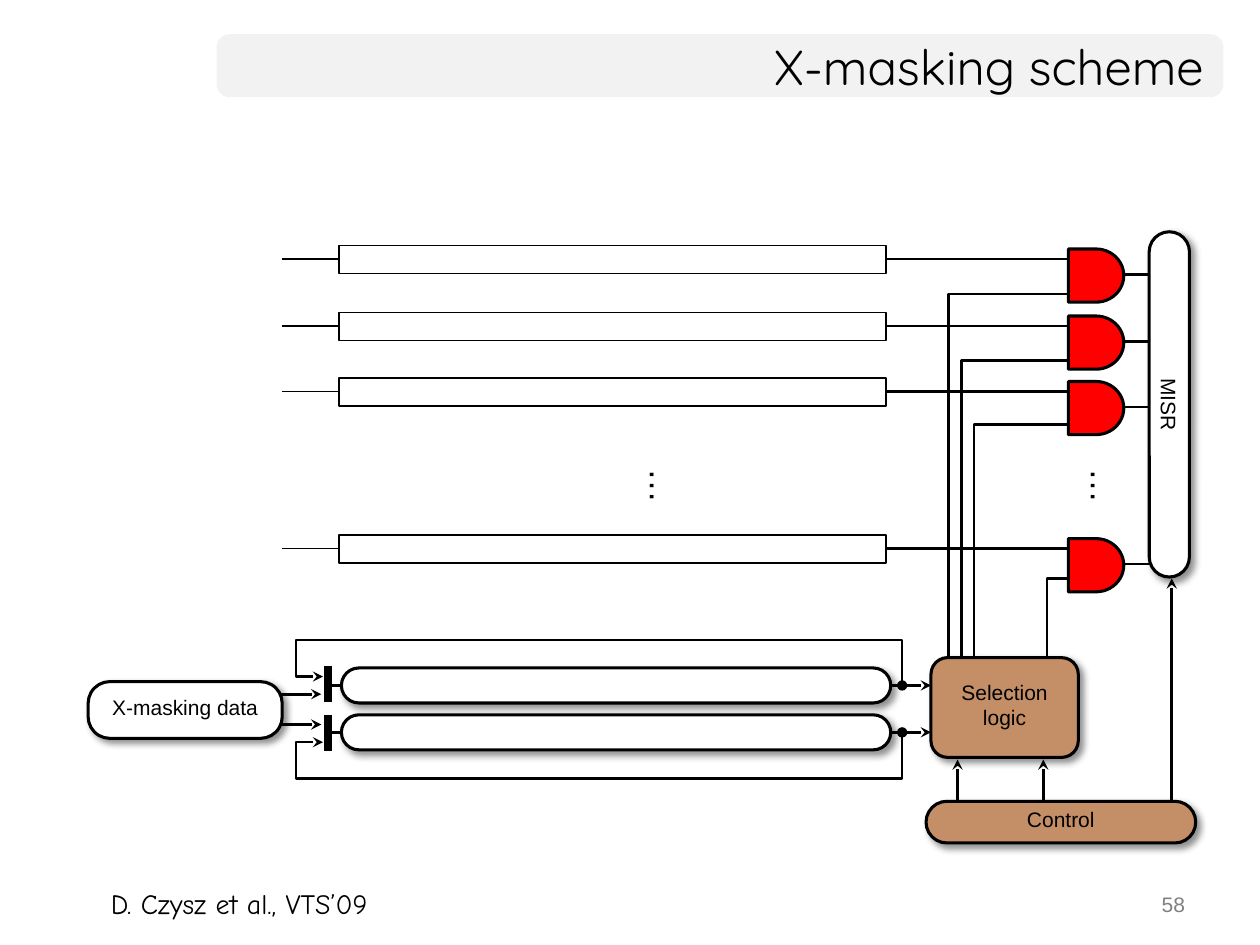
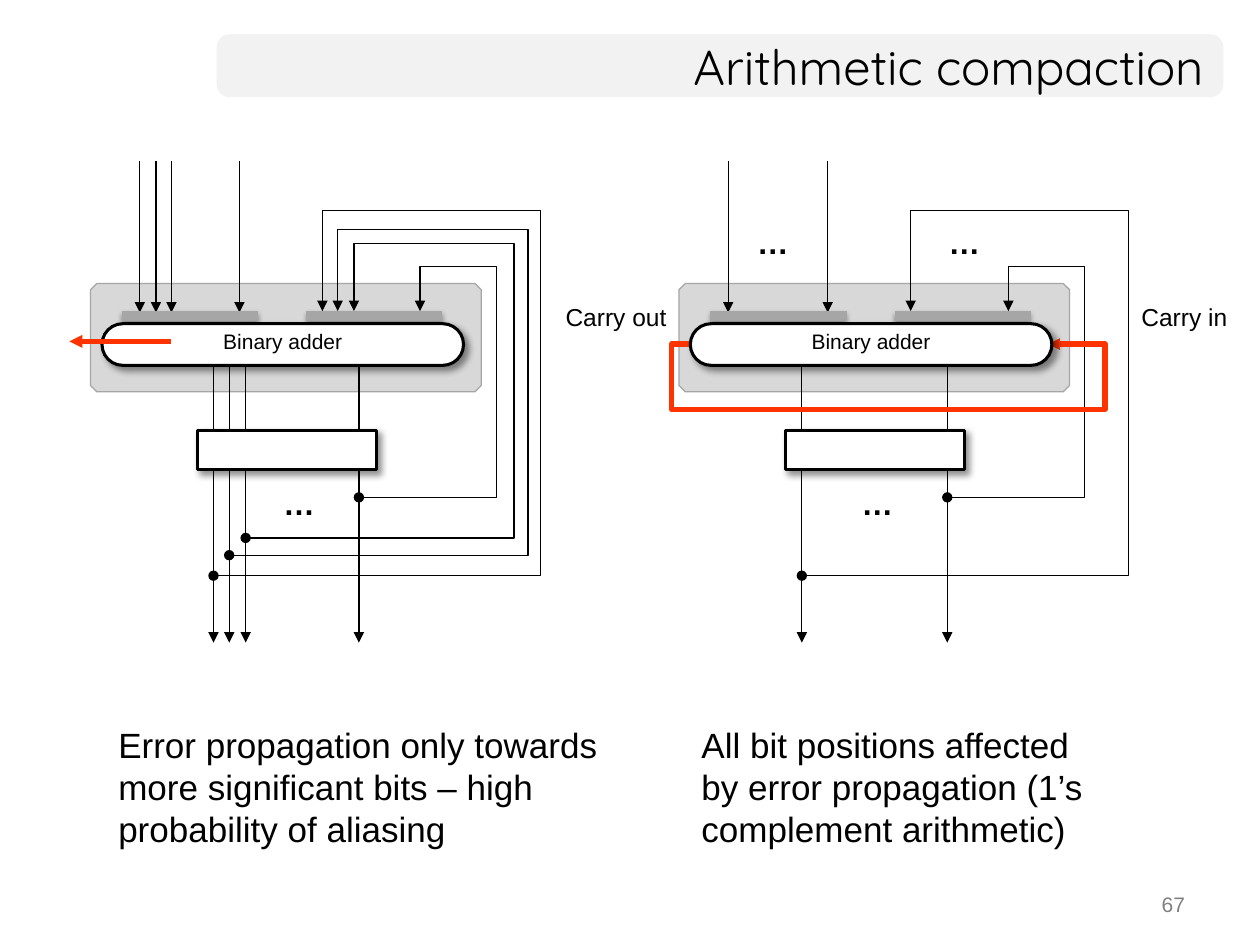
from dataclasses import dataclass

from lxml.etree import SubElement
from pptx import Presentation
from pptx.dml.color import RGBColor
from pptx.enum.shapes import MSO_CONNECTOR, MSO_SHAPE
from pptx.enum.text import MSO_ANCHOR, PP_ALIGN
from pptx.oxml.ns import qn
from pptx.util import Pt


@dataclass(frozen=True)
class Theme:
    ink: str = "000000"
    paper: str = "FFFFFF"
    band: str = "F2F2F2"
    page: str = "808080"
    tan: str = "C48E66"
    gate: str = "FF0000"
    carry: str = "FF3300"
    bar: str = "A6A6A6"
    tray: str = "D8D8D8"
    body: str = "Arial"
    head: str = "Quicksand"
    note: str = "Comic Neue"
    small: int = 12
    label: int = 14
    cite: int = 16
    dots: int = 18
    text: int = 20
    title: int = 28
    edge: float = 1.75
    wire: float = 1.5
    thin: float = 0.75
    # Shadows: opacity %, blur, distance, angle
    soft: tuple = (43, 4, 3, 45)
    under: tuple = (38, 3.1, 1.6, 90)


T = Theme()


# Formatting helpers
def rgb(code):
    return RGBColor.from_string(code)


def cast(fx, shade):
    alpha, blur, dist, angle = shade
    glow = SubElement(fx, qn("a:outerShdw"), blurRad=str(Pt(blur)), dist=str(Pt(dist)),
                      dir=str(angle * 60000), algn="tl", rotWithShape="0")
    tone = SubElement(glow, qn("a:srgbClr"), val=T.ink)
    SubElement(tone, qn("a:alpha"), val=str(alpha * 1000))


def stroke(line, color, width, head=None, tail=None):
    line.color.rgb = rgb(color)
    line.width = Pt(width)
    for tag, kind in (("a:headEnd", head), ("a:tailEnd", tail)):
        if kind:
            SubElement(line.fill._xPr, qn(tag), type=kind)


def write(frame, text, size=T.small, font=T.body, color=T.ink, bold=False,
          align=PP_ALIGN.LEFT, anchor=MSO_ANCHOR.TOP, wrap=True, foot=3.6):
    frame.word_wrap = wrap
    frame.vertical_anchor = anchor
    frame.margin_left = frame.margin_right = Pt(7.2)
    frame.margin_top, frame.margin_bottom = Pt(3.6), Pt(foot)
    frame.text = text
    for para in frame.paragraphs:
        para.alignment = align
        para.font.size = Pt(size)
        para.font.name = font
        para.font.bold = bold
        para.font.color.rgb = rgb(color)


# Element makers
def label(slide, text, x, y, w, h, turn=0, **style):
    box = slide.shapes.add_textbox(Pt(x), Pt(y), Pt(w), Pt(h))
    box.rotation = turn
    write(box.text_frame, text, **style)


def block(slide, x, y, w, h, kind=MSO_SHAPE.RECTANGLE, adj=None, fill=None,
          edge=T.ink, width=T.edge, shade=None, text=None, turn=0, foot=7.2):
    item = slide.shapes.add_shape(kind, Pt(x), Pt(y), Pt(w), Pt(h))
    item.rotation = turn
    if adj is not None:
        item.adjustments[0] = adj
    if fill:
        item.fill.solid()
        item.fill.fore_color.rgb = rgb(fill)
    else:
        item.fill.background()
    if edge:
        stroke(item.line, edge, width)
    else:
        item.line.fill.background()
    item.shadow.inherit = False
    if shade:
        cast(item.element.spPr.find(qn("a:effectLst")), shade)
    if text:
        write(item.text_frame, text, align=PP_ALIGN.CENTER,
              anchor=MSO_ANCHOR.MIDDLE, foot=foot)


def pill(slide, x, y, w, h, adj=0.5, fill=T.paper, **more):
    block(slide, x, y, w, h, kind=MSO_SHAPE.ROUNDED_RECTANGLE, adj=adj,
          fill=fill, shade=T.soft, **more)


def wire(slide, x1, y1, x2, y2, width=T.wire, color=T.ink, tail=None, shade=None):
    item = slide.shapes.add_connector(MSO_CONNECTOR.STRAIGHT,
                                      Pt(x1), Pt(y1), Pt(x2), Pt(y2))
    stroke(item.line, color, width, tail=tail)
    fx = SubElement(item.element.spPr, qn("a:effectLst"))
    if shade:
        cast(fx, shade)


def route(slide, *spots, width=T.wire, head=None, tail=None):
    spots = [(Pt(x), Pt(y)) for x, y in spots]
    pen = slide.shapes.build_freeform(*spots[0], scale=1.0)
    pen.add_line_segments(spots[1:], close=False)
    item = pen.convert_to_shape()
    item.fill.background()
    stroke(item.line, T.ink, width, head, tail)
    item.shadow.inherit = False


def start(deck, title, page):
    slide = deck.slides.add_slide(deck.slide_layouts[6])
    block(slide, 123.8, 19.6, 575.3, 36, kind=MSO_SHAPE.ROUNDED_RECTANGLE,
          adj=0.208, fill=T.band, edge=None)
    label(slide, title, 123.8, 19.6, 571, 36, size=T.title, font=T.head,
          align=PP_ALIGN.RIGHT, anchor=MSO_ANCHOR.MIDDLE)
    label(slide, page, 516.2, 504, 168, 25.2, color=T.page,
          align=PP_ALIGN.RIGHT, anchor=MSO_ANCHOR.MIDDLE)
    return slide


# X-masking slide
def masking(deck):
    slide = start(deck, "X-masking scheme", "58")

    # Scan chains, gates and mask lines: chain y, mask y, mask x
    rows = [(148, 168, 542), (186.3, 206, 549.4),
            (223.7, 242.6, 556.6), (313.5, 330.5, 598.3)]
    for y, mask, x in rows:
        wire(slide, 161.3, y, 193, y, width=1)
        block(slide, 193.7, y - 7.7, 312.5, 16, width=1)
        wire(slide, 506.9, y, 626, y)
        wire(slide, 635.8, y + 8.9, 662.4, y + 8.9)
        route(slide, (622, mask), (x, mask), (x, 385))
        block(slide, 610.5, y - 5.7, 31.7, 30.4,
              kind=MSO_SHAPE.FLOWCHART_DELAY, fill=T.gate)
    for x in (351.4, 603.4):
        label(slide, "…", x, 249, 31.7, 55.4, turn=90, size=T.text,
              align=PP_ALIGN.CENTER)

    # Mask registers: centre y, multiplexer y, data y, feedback y, loop y
    loops = [(391.7, 390.6, 396.7, 386.6, 365.8),
             (418.5, 418.8, 414, 424.1, 445)]
    for y, mux, data, back, far in loops:
        wire(slide, 187, y, 208, y)
        wire(slide, 470.9, y, 532, y, tail="stealth")
        route(slide, (515.5, y), (515.5, far), (169.2, far), (169.2, back),
              (184.6, back), head="oval", tail="stealth")
        wire(slide, 187.2, mux - 10.3, 187.2, mux + 10.3, width=4.5)
        wire(slide, 122.4, data, 183.6, data, tail="stealth")
        pill(slide, 195.1, y - 10, 313.9, 20)

    # Control paths and labelled blocks
    for x, top in ((547.2, 434), (596.2, 434), (669.6, 330.5)):
        wire(slide, x, 470, x, top, tail="stealth")
    pill(slide, 50.4, 389.5, 110.9, 32.4, adj=0.382, text="X-masking data")
    pill(slide, 532, 375.8, 84.2, 57, adj=0.167, fill=T.tan, text="Selection\nlogic")
    pill(slide, 529.2, 457.9, 154.1, 23.8, fill=T.tan, text="Control")
    pill(slide, 569.5, 219.6, 197.3, 23, turn=90, text="MISR", foot=3.6)
    label(slide, "D. Czysz et al., VTS’09", 56.2, 503.3, 185.8, 26.6,
          size=T.cite, font=T.note, wrap=False)


# Arithmetic slide
# Input x, output x, feedback low y, side x, high y, return x
TAPS = [(79.9, 122, 329, 308.9, 120.2, 184.2),
        (89.1, 131, 317.3, 301.7, 131, 193),
        (98, 140.4, 307.4, 293.8, 139.2, 202.3),
        (136.8, 205.1, 284.2, 283.7, 152.2, 240)]


def core(slide, left, taps):
    block(slide, left + 51.8, 162, 223.2, 61.9, kind=MSO_SHAPE.OCTAGON,
          adj=0.058, fill=T.tray, edge=T.bar, width=T.thin)
    for feed, out, low, side, high, back in taps:
        wire(slide, left + feed, 92.2, left + feed, 178.6,
             width=T.thin, tail="triangle")
        wire(slide, left + out, 207.4, left + out, 367.2,
             width=T.thin, tail="triangle")
        spots = [(out, low), (side, low), (side, high), (back, high), (back, 177.8)]
        route(slide, *((left + x, y) for x, y in spots),
              width=T.thin, head="oval", tail="triangle")
    block(slide, left + 112.8, 245.8, 102.2, 22.8, fill=T.paper, shade=T.soft)
    for x in (left + 69.8, left + 175):
        wire(slide, x, 180.7, x + 77.8, 180.7, width=5.5, color=T.bar, shade=T.under)


def compact(deck):
    slide = start(deck, "Arithmetic compaction", "67")
    shift = 336.2
    core(slide, 0, TAPS)
    core(slide, shift, TAPS[::3])

    # Carry loop runs behind the adder, carry out in front
    block(slide, 383.8, 196.6, 247.7, 37.4, edge=T.carry, width=3)
    wire(slide, 615.6, 196.6, 599, 196.6, width=2.25, color=T.carry, tail="triangle")
    for left in (0, shift):
        pill(slide, left + 58.3, 185, 206.6, 23.8, text="Binary adder")
    wire(slide, 98, 195.1, 39.6, 195.1, width=2.5, color=T.carry, tail="triangle")

    # Labels and remarks
    for x, y in ((154.8, 272.9), (485.3, 272.9), (425.5, 123.8), (535, 123.8)):
        label(slide, "…", x, y, 32.4, 28.8, size=T.dots, bold=True, wrap=False)
    for text, x, w in (("Carry out", 316.1, 72), ("Carry in", 645.1, 64.1)):
        label(slide, text, x, 168.8, w, 24, size=T.label, wrap=False)
    remarks = [
        ("Error propagation only towards more significant bits – high "
         "probability of aliasing", 60.5, 291.6),
        ("All bit positions affected by error propagation (1’s complement "
         "arithmetic)", 393.8, 232.6)]
    for text, x, w in remarks:
        label(slide, text, x, 409.7, w, 80, size=T.text)


def main():
    deck = Presentation()
    deck.slide_width, deck.slide_height = Pt(720), Pt(540)
    masking(deck)
    compact(deck)
    deck.save("out.pptx")


if __name__ == "__main__":
    main()
